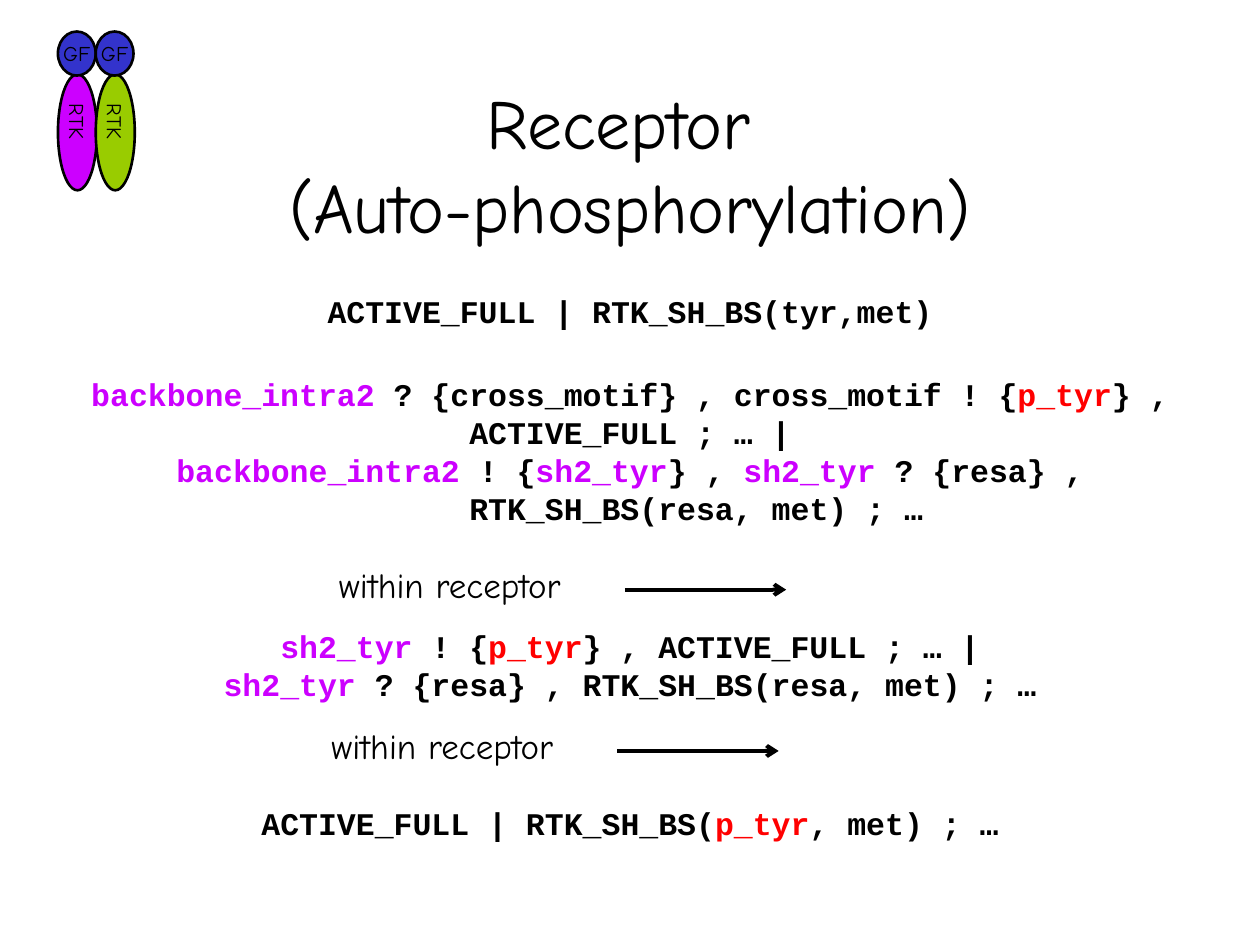
"""Build the receptor auto-phosphorylation slide."""
from dataclasses import dataclass

from lxml import etree
from pptx import Presentation
from pptx.dml.color import RGBColor
from pptx.enum.shapes import MSO_CONNECTOR, MSO_SHAPE
from pptx.enum.text import MSO_ANCHOR, MSO_AUTO_SIZE, PP_ALIGN
from pptx.oxml.ns import qn
from pptx.util import Inches, Pt

CENTER = PP_ALIGN.CENTER
MIDDLE, TOP = MSO_ANCHOR.MIDDLE, MSO_ANCHOR.TOP
NO_AUTOFIT = MSO_AUTO_SIZE.NONE
OVAL, STRAIGHT = MSO_SHAPE.OVAL, MSO_CONNECTOR.STRAIGHT

COLORS = {
    "black": "000000",
    "site": "CC00FF",
    "phospho": "FF0000",
    "left_kinase": "CC00FF",
    "right_kinase": "99CC00",
    "factor": "3333CC",
}
LABEL_FONT = "Comic Neue"
TITLE = {"name": LABEL_FONT, "size": Pt(40)}
STEP = {"name": LABEL_FONT, "size": Pt(20)}
PROTEIN = {"name": LABEL_FONT, "size": Pt(12)}
CODE = {"name": "Courier New", "size": Pt(18), "bold": True}


@dataclass(frozen=True)
class Term:
    text: str
    color: str = "black"


@dataclass(frozen=True)
class Line:
    terms: tuple[Term, ...]
    indent: float = 0


@dataclass(frozen=True)
class Process:
    top: float
    height: float
    lines: tuple[Line, ...]


@dataclass(frozen=True)
class Step:
    left: float
    top: float


@dataclass(frozen=True)
class Protein:
    label: str
    left: float
    top: float
    width: float
    height: float
    color: str
    vertical: bool = False


BACKBONE = Term("backbone_intra2", "site")
SH2 = Term("sh2_tyr", "site")
P_TYR = Term("p_tyr", "phospho")

PROCESSES = (
    Process(2.27, 0.4, (Line((Term("ACTIVE_FULL | RTK_SH_BS(tyr,met)"),)),)),
    Process(2.93, 1.3, (
        Line((BACKBONE, Term(" ? {cross_motif} , cross_motif ! {"), P_TYR,
              Term("} , ACTIVE_FULL ; … |"))),
        Line((BACKBONE, Term(" ! {"), SH2, Term("} , "), SH2, Term(" ? {resa} ,"))),
        Line((Term("RTK_SH_BS(resa, met) ; …"),), indent=1.05),
    )),
    Process(4.93, 0.7, (
        Line((SH2, Term(" ! {"), P_TYR, Term("} , ACTIVE_FULL ; … |"))),
        Line((SH2, Term(" ? {resa} , RTK_SH_BS(resa, met) ; …"))),
    )),
    Process(6.33, 0.4, (
        Line((Term("ACTIVE_FULL | RTK_SH_BS("), P_TYR, Term(", met) ; …"))),
    )),
)
STEPS = (Step(2.36, 4.46), Step(2.3, 5.74))
PROTEINS = (
    Protein("RTK", 0.46, 0.59, 0.31, 0.92, "left_kinase", True),
    Protein("RTK", 0.76, 0.59, 0.31, 0.92, "right_kinase", True),
    Protein("GF", 0.46, 0.25, 0.3, 0.35, "factor"),
    Protein("GF", 0.76, 0.25, 0.3, 0.35, "factor"),
)


def rgb(name: str) -> RGBColor:
    return RGBColor.from_string(COLORS[name])


def set_values(target, values: dict) -> None:
    for name, value in values.items():
        setattr(target, name, value)


def format_font(font, values: dict, color: str = "black") -> None:
    set_values(font, values)
    font.color.rgb = rgb(color)


def write_lines(frame, lines: tuple[Line, ...], font_values: dict) -> None:
    for index, line in enumerate(lines):
        paragraph = frame.add_paragraph() if index else frame.paragraphs[0]
        paragraph.alignment = CENTER
        if line.indent:
            paragraph._p.get_or_add_pPr().set("marL", str(Inches(line.indent)))
        for term in line.terms:
            run = paragraph.add_run()
            run.text = term.text
            format_font(run.font, font_values, term.color)


def add_title(slide, text: str) -> None:
    title = slide.shapes.title
    set_values(title, {"left": Inches(0.75), "top": Inches(0.67),
                       "width": Inches(8.5), "height": Inches(1.25)})
    frame = title.text_frame
    frame.text = text
    set_values(frame, {"auto_size": NO_AUTOFIT, "vertical_anchor": MIDDLE})
    paragraph = frame.paragraphs[0]
    paragraph.alignment = CENTER
    for run in paragraph.runs:
        format_font(run.font, TITLE)


def add_process(slide, process: Process) -> None:
    shape = slide.shapes.add_textbox(
        Inches(0), Inches(process.top), Inches(10), Inches(process.height))
    set_values(shape.text_frame, {"word_wrap": True, "vertical_anchor": TOP})
    write_lines(shape.text_frame, process.lines, CODE)


def add_step(slide, step: Step) -> None:
    arrow_left, arrow_top = step.left + 2.6, step.top + 0.22
    arrow = slide.shapes.add_connector(
        STRAIGHT, Inches(arrow_left), Inches(arrow_top),
        Inches(arrow_left + 1.28), Inches(arrow_top))
    arrow.line.width = Pt(2.25)
    arrow.line.color.rgb = rgb("black")
    properties = arrow._element.spPr
    etree.SubElement(properties.get_or_add_ln(), qn("a:tailEnd"), type="arrow")
    etree.SubElement(properties, qn("a:effectLst"))

    label = slide.shapes.add_textbox(
        Inches(step.left), Inches(step.top), Inches(2.42), Inches(0.35))
    set_values(label.text_frame, {"word_wrap": False, "vertical_anchor": MIDDLE})
    write_lines(label.text_frame, (Line((Term("within receptor"),)),), STEP)


def add_protein(slide, protein: Protein) -> None:
    shape = slide.shapes.add_shape(
        OVAL, Inches(protein.left), Inches(protein.top),
        Inches(protein.width), Inches(protein.height))
    shape.shadow.inherit = False
    shape.fill.solid()
    shape.fill.fore_color.rgb = rgb(protein.color)
    shape.line.color.rgb = rgb("black")
    shape.line.width = Pt(1.5)
    frame = shape.text_frame
    set_values(frame, {"word_wrap": False, "vertical_anchor": MIDDLE})
    write_lines(frame, (Line((Term(protein.label),)),), PROTEIN)
    if protein.vertical:
        side, end = Inches(0.05), Inches(0.1)
        set_values(frame, {"margin_left": side, "margin_right": side,
                           "margin_top": end, "margin_bottom": end})
        frame._txBody.bodyPr.set("vert", "eaVert")
    else:
        frame.paragraphs[0].space_before = Pt(7.5)


def main() -> None:
    presentation = Presentation()
    presentation.slide_width = Inches(10)
    presentation.slide_height = Inches(7.5)
    slide = presentation.slides.add_slide(presentation.slide_layouts[5])
    add_title(slide, "Receptor \v(Auto-phosphorylation)")
    for process in PROCESSES:
        add_process(slide, process)
    for step in STEPS:
        add_step(slide, step)
    for protein in PROTEINS:
        add_protein(slide, protein)
    presentation.save("out.pptx")


if __name__ == "__main__":
    main()
